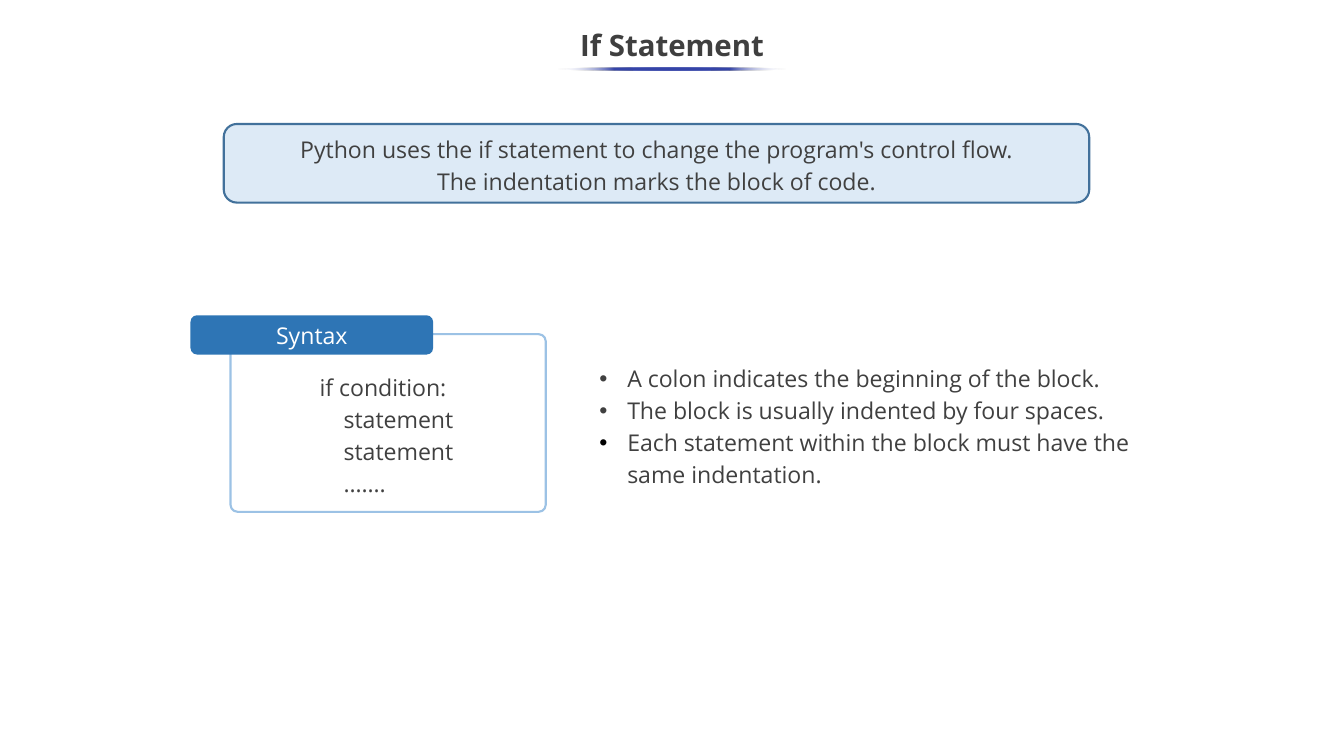
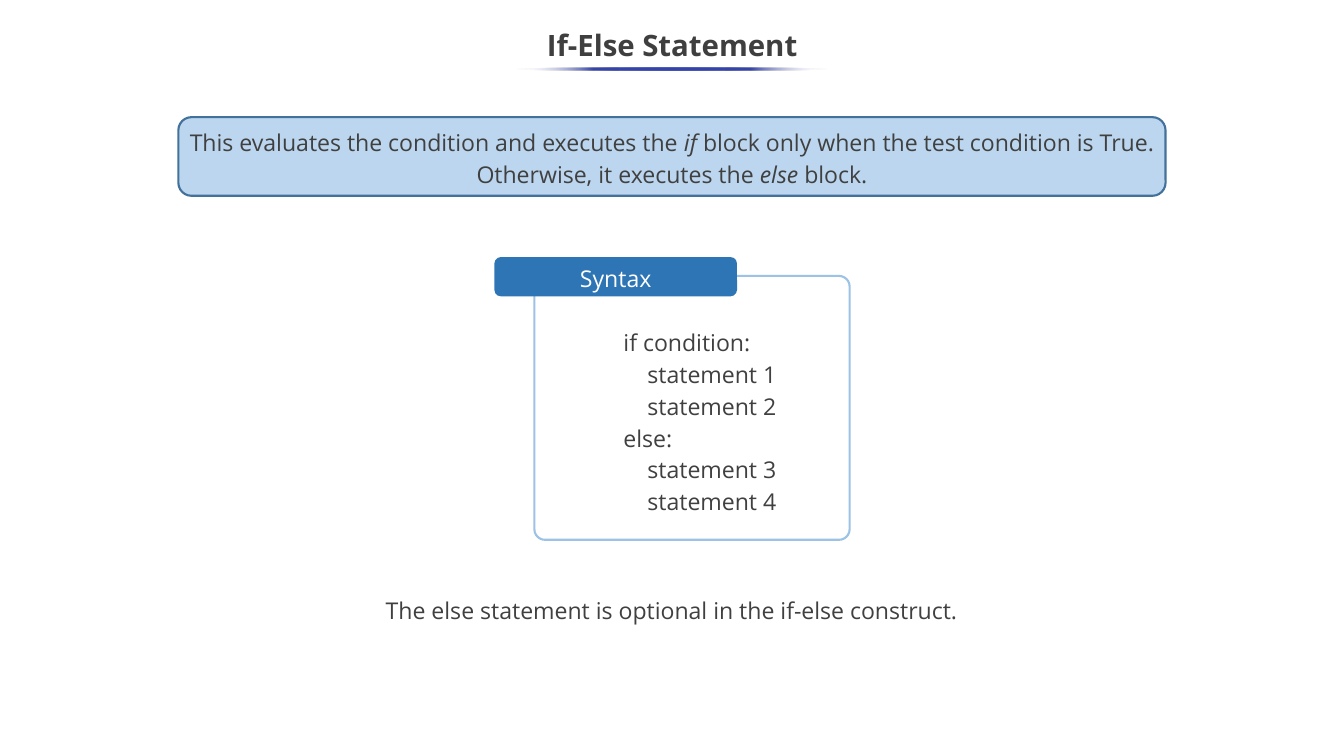
from dataclasses import dataclass

import pptx
import pptx.dml.color
import pptx.enum.shapes
import pptx.enum.text
import pptx.oxml
import pptx.oxml.ns
import pptx.oxml.xmlchemy
import pptx.presentation
import pptx.shapes.autoshape
import pptx.slide
import pptx.text.text
import pptx.util
from lxml import etree

EMU_PER_PX = 9144
SLIDE_W, SLIDE_H = 1778, 1000

Shape = pptx.shapes.autoshape.Shape
Slide = pptx.slide.Slide
Align = pptx.enum.text.PP_ALIGN
Anchor = pptx.enum.text.MSO_ANCHOR
Preset = pptx.enum.shapes.MSO_SHAPE
qn = pptx.oxml.ns.qn


@dataclass(frozen=True)
class Theme:
    font: str = "Open Sans"
    title_size: int = 28
    body_size: int = 22
    title: str = "3F3F3F"
    body: str = "404040"
    white: str = "FFFFFF"
    underline: str = "3645A9"
    callout_border: str = "42719B"
    tag: str = "2E75B5"
    frame: str = "9CC2E5"
    border_width: int = 2
    title_spacing: float = 0.9
    body_spacing: float = 1.15


THEME = Theme()


@dataclass(frozen=True)
class Box:
    left: int
    top: int
    width: int
    height: int

    def emu(self) -> tuple[int, ...]:
        return tuple(
            side * EMU_PER_PX for side in (self.left, self.top, self.width, self.height)
        )


@dataclass(frozen=True)
class Line:
    """Segments alternate between upright and italic."""

    segments: tuple[str, ...]
    align: Align = Align.CENTER
    bullet: str = ""


@dataclass(frozen=True)
class Style:
    size: int = THEME.body_size
    color: str = THEME.body
    bold: bool = False
    spacing: float = THEME.body_spacing


BODY = Style()
TITLE = Style(THEME.title_size, THEME.title, True, THEME.title_spacing)


@dataclass(frozen=True)
class Panel:
    box: Box
    lines: tuple[Line, ...]
    fill: str = THEME.white
    border: str = ""


@dataclass(frozen=True)
class Syntax:
    frame: Box
    code_box: Box
    code: tuple[str, ...]
    tag_spacing: float


@dataclass(frozen=True)
class Lesson:
    title: str
    underline_width: int
    callout: Panel
    note: Panel
    syntax: Syntax


def rgb(color: str) -> pptx.dml.color.RGBColor:
    return pptx.dml.color.RGBColor.from_string(color)


def add_bullet(paragraph: pptx.text.text._Paragraph, color: str) -> None:
    properties = paragraph._p.get_or_add_pPr()
    indent = 37 * EMU_PER_PX
    properties.set("marL", str(indent))
    properties.set("indent", str(-indent))
    bullet_color = etree.SubElement(properties, qn("a:buClr"))
    etree.SubElement(bullet_color, qn("a:srgbClr"), val=color)
    etree.SubElement(properties, qn("a:buFont"), typeface="Arial")
    etree.SubElement(properties, qn("a:buChar"), char="•")


def write(
    shape: Shape, lines: tuple[Line, ...], style: Style, anchor: Anchor = Anchor.MIDDLE
) -> None:
    frame = shape.text_frame
    frame.word_wrap = True
    frame.vertical_anchor = anchor
    for index, line in enumerate(lines):
        paragraph = frame.add_paragraph() if index else frame.paragraphs[0]
        paragraph.alignment = line.align
        paragraph.line_spacing = style.spacing
        if line.bullet:
            add_bullet(paragraph, line.bullet)
        font = paragraph.font
        font.name = THEME.font
        font.size = pptx.util.Pt(style.size)
        font.bold = style.bold
        font.color.rgb = rgb(style.color)
        for position, segment in enumerate(line.segments):
            run = paragraph.add_run()
            run.text = segment
            if position % 2:
                run.font.italic = True


def add_preset(
    slide: Slide,
    preset: Preset,
    box: Box,
    fill: str = "",
    border: str = "",
    corner: float | None = None,
) -> Shape:
    shape = slide.shapes.add_shape(preset, *box.emu())
    shape.shadow.inherit = False
    if corner is not None:
        shape.adjustments[0] = corner
    if fill:
        shape.fill.solid()
        shape.fill.fore_color.rgb = rgb(fill)
    else:
        shape.fill.background()
    if border:
        shape.line.color.rgb = rgb(border)
        shape.line.width = pptx.util.Pt(THEME.border_width)
    else:
        shape.line.fill.background()
    return shape


def add_panel(slide: Slide, panel: Panel) -> None:
    shape = add_preset(slide, Preset.ROUNDED_RECTANGLE, panel.box, panel.fill, panel.border)
    write(shape, panel.lines, BODY)


def add_syntax(slide: Slide, syntax: Syntax) -> None:
    frame = syntax.frame
    add_preset(
        slide, Preset.ROUNDED_RECTANGLE, frame, border=THEME.frame, corner=0.04
    )
    tag_box = Box(frame.left - 53, frame.top - 25, 321, 52)
    tag = add_preset(slide, Preset.ROUNDED_RECTANGLE, tag_box, THEME.tag)
    write(tag, (Line(("Syntax",)),), Style(color=THEME.white, spacing=syntax.tag_spacing))
    code = slide.shapes.add_textbox(*syntax.code_box.emu())
    code_lines = tuple(Line((text,), Align.LEFT) for text in syntax.code)
    write(code, code_lines, BODY, Anchor.TOP)


def add_title(slide: Slide, title: str, underline_width: int) -> None:
    heading = slide.shapes.add_textbox(*Box(0, 25, SLIDE_W, 75).emu())
    write(heading, (Line((title,)),), TITLE)
    underline_box = Box((SLIDE_W - underline_width) // 2, 89, underline_width, 4)
    underline = add_preset(slide, Preset.OVAL, underline_box)
    underline.fill.gradient()
    underline.fill.gradient_angle = 0
    stops = underline._element.spPr.find(qn("a:gradFill")).find(qn("a:gsLst"))
    for stop in list(stops):
        stops.remove(stop)
    for percent in range(0, 101, 25):
        faded = percent in (0, 100)
        stop = etree.SubElement(stops, qn("a:gs"), pos=str(percent * 1000))
        color = etree.SubElement(
            stop, qn("a:srgbClr"), val=THEME.white if faded else THEME.underline
        )
        if faded:
            etree.SubElement(color, qn("a:alpha"), val="0")


LESSONS = (
    Lesson(
        "If Statement",
        304,
        Panel(
            Box(296, 164, 1145, 104),
            (
                Line(("Python uses the if statement to change the program's control flow.",)),
                Line(("The indentation marks the block of code.",)),
            ),
            "DDEAF6",
            THEME.callout_border,
        ),
        Panel(
            Box(775, 479, 757, 164),
            (
                Line(
                    ("A colon indicates the beginning of the block.",),
                    Align.JUSTIFY,
                    THEME.body,
                ),
                Line(
                    ("The block is usually indented by four spaces.",),
                    Align.JUSTIFY,
                    THEME.body,
                ),
                Line(
                    ("Each statement within the block must have the same indentation.",),
                    Align.LEFT,
                    "000000",
                ),
            ),
        ),
        Syntax(
            Box(305, 442, 417, 235),
            Box(413, 484, 235, 180),
            ("if condition:", "    statement", "    statement", "    ……."),
            1.0,
        ),
    ),
    Lesson(
        "If-Else Statement",
        414,
        Panel(
            Box(236, 155, 1306, 104),
            (
                Line(
                    (
                        "This evaluates the condition and executes the",
                        " if ",
                        "block only when the test condition is True. Otherwise, it executes the ",
                        "else",
                        " block.\u00a0".rstrip(),
                    )
                ),
            ),
            "BBD6EE",
            THEME.callout_border,
        ),
        Panel(
            Box(377, 747, 1023, 115),
            (Line(("The else statement is optional in the if-else construct.",)),),
        ),
        Syntax(
            Box(707, 365, 417, 349),
            Box(815, 424, 263, 266),
            (
                "if condition:",
                "    statement 1",
                "    statement 2",
                "else:",
                "    statement 3",
                "    statement 4",
            ),
            THEME.body_spacing,
        ),
    ),
)


def add_lesson(deck: pptx.presentation.Presentation, lesson: Lesson) -> None:
    slide = deck.slides.add_slide(deck.slide_layouts[6])
    add_title(slide, lesson.title, lesson.underline_width)
    add_panel(slide, lesson.callout)
    add_panel(slide, lesson.note)
    add_syntax(slide, lesson.syntax)


def main() -> None:
    deck = pptx.Presentation()
    deck.slide_width = SLIDE_W * EMU_PER_PX
    deck.slide_height = SLIDE_H * EMU_PER_PX
    for lesson in LESSONS:
        add_lesson(deck, lesson)
    deck.save("out.pptx")


if __name__ == "__main__":
    main()
